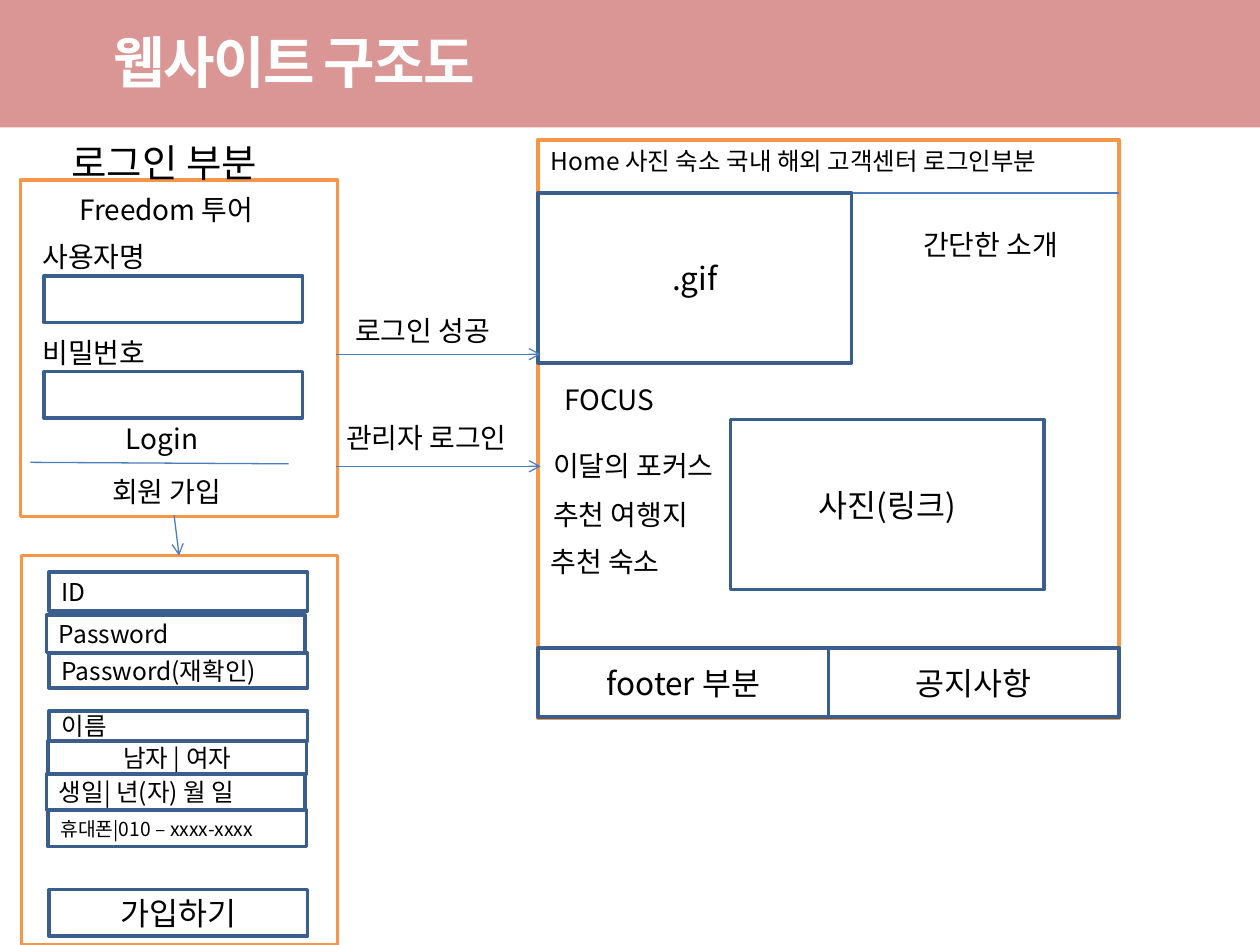
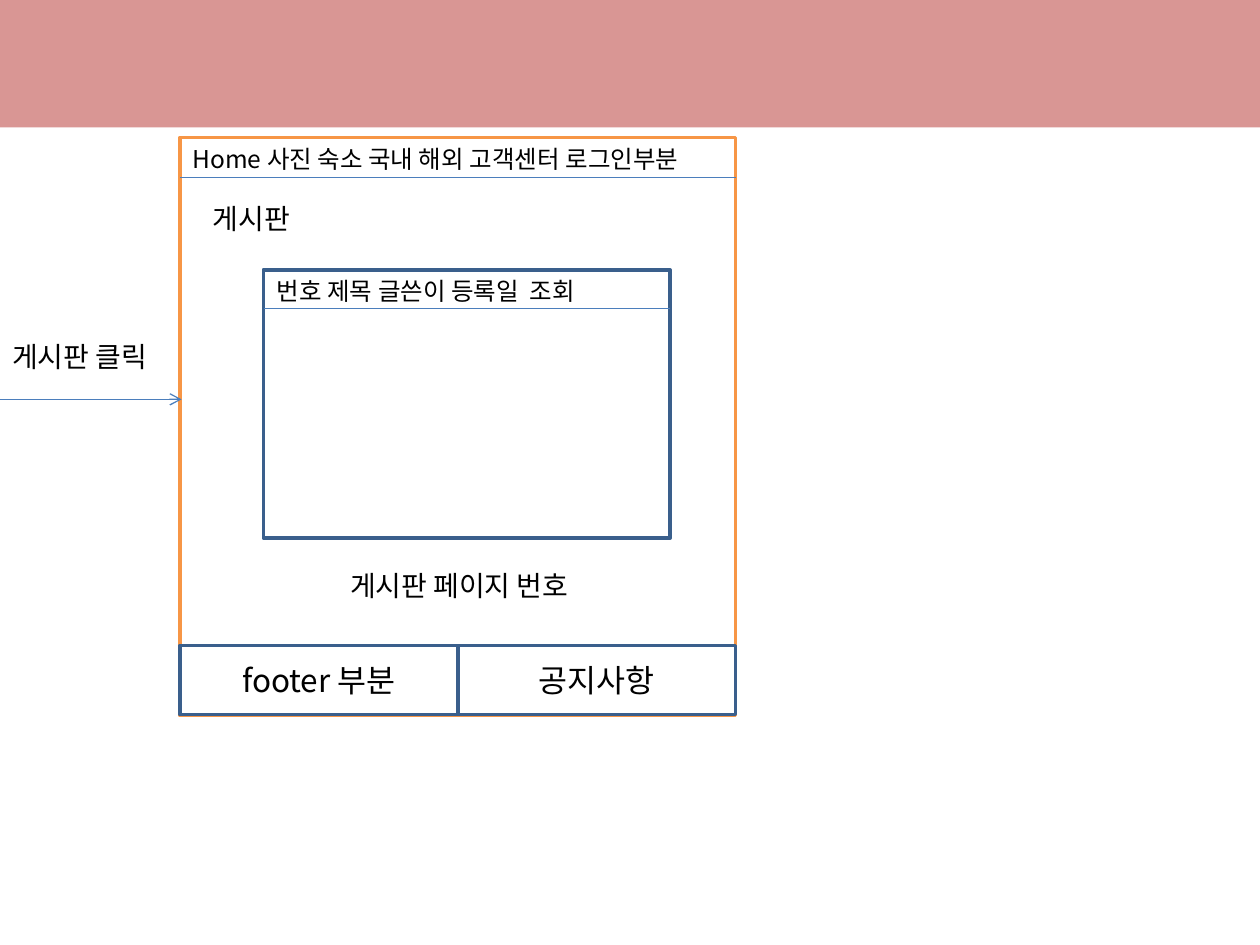
from lxml import etree
from pptx import Presentation
from pptx.dml.color import RGBColor
from pptx.enum.shapes import MSO_CONNECTOR, MSO_SHAPE
from pptx.enum.text import MSO_ANCHOR, MSO_AUTO_SIZE, PP_ALIGN
from pptx.oxml.ns import qn
from pptx.util import Cm, Pt

RECTANGLE = MSO_SHAPE.RECTANGLE
STRAIGHT = MSO_CONNECTOR.STRAIGHT
LEFT, CENTER = PP_ALIGN.LEFT, PP_ALIGN.CENTER
TOP, MIDDLE = MSO_ANCHOR.TOP, MSO_ANCHOR.MIDDLE
GROW = MSO_AUTO_SIZE.SHAPE_TO_FIT_TEXT

FONT = "Noto Sans CJK KR"
BAND, WHITE, BLACK = "D99694", "FFFFFF", "000000"
PAGE_EDGE, BOX_EDGE, RULE = "F79646", "3A5F8C", "4B7EBC"

SLIDE_WIDTH, SLIDE_HEIGHT = 25.4, 19.05
FIELD_WIDTH = 5.21
PICTURE_SIZE = 6.32, 3.43
PAGE_HEIGHT = 11.66
FOOTER_OFFSET, FOOTER_HEIGHT = 10.24, 1.4


def color(value):
    return RGBColor.from_string(value)


def write(frame, text, size, align=LEFT, ink=BLACK, bold=False):
    paragraph = frame.paragraphs[0]
    paragraph.alignment = align
    run = paragraph.add_run()
    run.text = text
    font = run.font
    font.size = Pt(size)
    font.bold = bold
    font.color.rgb = color(ink)
    font.name = FONT
    properties = run._r.get_or_add_rPr()
    etree.SubElement(properties, qn("a:ea")).set("typeface", FONT)
    return properties


def add_box(slide, left, top, width, height, edge=BOX_EDGE, fill=WHITE):
    box = slide.shapes.add_shape(
        RECTANGLE, Cm(left), Cm(top), Cm(width), Cm(height))
    box.shadow.inherit = False
    box.fill.solid()
    box.fill.fore_color.rgb = color(fill)
    if edge:
        box.line.color.rgb = color(edge)
        box.line.width = Pt(2)
    else:
        box.line.fill.background()
    return box


def add_text_box(slide, text, left, top, width, height, size=18, align=CENTER):
    box = add_box(slide, left, top, width, height)
    box.text_frame.word_wrap = True
    box.text_frame.vertical_anchor = MIDDLE
    write(box.text_frame, text, size, align)


def add_label(slide, text, left, top, width, size=16):
    label = slide.shapes.add_textbox(
        Cm(left), Cm(top), Cm(width), Cm(size * 0.06))
    label.text_frame.word_wrap = True
    label.text_frame.auto_size = GROW
    write(label.text_frame, text, size)


def add_line(slide, x1, y1, x2, y2, arrow=False):
    line = slide.shapes.add_connector(STRAIGHT, Cm(x1), Cm(y1), Cm(x2), Cm(y2))
    line.line.color.rgb = color(RULE)
    line.line.width = Pt(0.75)
    if arrow:
        outline = line.line._get_or_add_ln()
        etree.SubElement(outline, qn("a:tailEnd")).set("type", "arrow")
    etree.SubElement(line._element.spPr, qn("a:effectLst"))


def add_band(slide):
    return add_box(slide, 0, 0, SLIDE_WIDTH, 2.57, edge=None, fill=BAND)


def add_title(slide, text):
    band = add_band(slide)
    title = slide.shapes.title
    title._element.addprevious(band._element)
    title.left, title.top = Cm(2.29), Cm(0.56)
    title.width, title.height = Cm(8.64), Cm(1.37)
    frame = title.text_frame
    frame.margin_left = frame.margin_right = 0
    frame.margin_top = frame.margin_bottom = 0
    frame.vertical_anchor = TOP
    frame.auto_size = GROW
    write(frame, text, 32, ink=WHITE, bold=True).set("spc", "-100")


def add_site_page(slide, left, top, width, menu_height):
    add_box(slide, left, top, width, PAGE_HEIGHT, PAGE_EDGE)
    add_line(slide, left, top + menu_height, left + width, top + menu_height)
    add_label(slide, "Home 사진 숙소 국내 해외 고객센터 로그인부분",
              left, top, 11.71, 14)
    half = width / 2
    for column, text in enumerate(("footer 부분", "공지사항")):
        add_text_box(slide, text, left + column * half, top + FOOTER_OFFSET,
                     half, FOOTER_HEIGHT)


def add_login(slide):
    add_box(slide, 0.41, 3.63, 6.4, 6.78, PAGE_EDGE)
    add_label(slide, "로그인 부분", 1.19, 2.67, 5.41, 22)
    for text, left, top, width in (
            ("Freedom 투어", 1.35, 3.76, 4.8),
            ("사용자명", 0.61, 4.7, 3),
            ("비밀번호", 0.61, 6.63, 2.69),
            ("Login", 2.29, 8.38, 2.36),
            ("회원 가입", 2.01, 9.45, 3)):
        add_label(slide, text, left, top, width)
    for top in (5.56, 7.49):
        add_box(slide, 0.89, top, FIELD_WIDTH, 0.94)
    add_line(slide, 0.61, 9.32, 5.82, 9.35)


def add_signup(slide):
    add_box(slide, 0.43, 11.2, 6.38, 7.85, PAGE_EDGE)
    add_line(slide, 3.51, 10.39, 3.61, 11.2, arrow=True)
    for text, left, top, height, size, align in (
            ("ID", 0.99, 11.53, 0.79, 14, LEFT),
            ("Password", 0.94, 12.4, 0.76, 14, LEFT),
            ("Password(재확인)", 0.99, 13.16, 0.71, 14, LEFT),
            ("이름", 0.99, 14.33, 0.61, 14, LEFT),
            ("남자 | 여자", 0.97, 14.94, 0.66, 14, CENTER),
            ("생일| 년(자) 월 일", 0.94, 15.6, 0.74, 14, LEFT),
            ("휴대폰|010 – xxxx-xxxx", 0.97, 16.33, 0.74, 11, LEFT),
            ("가입하기", 0.99, 17.93, 0.94, 18, CENTER)):
        add_text_box(slide, text, left, top, FIELD_WIDTH, height, size, align)


def add_home(slide):
    add_site_page(slide, 10.85, 2.82, 11.71, 1.07)
    add_text_box(slide, ".gif", 10.85, 3.89, *PICTURE_SIZE)
    add_text_box(slide, "사진(링크)", 14.73, 8.46, *PICTURE_SIZE)
    for text, left, top, width in (
            ("간단한 소개", 18.36, 4.47, 3.61),
            ("FOCUS", 11.13, 7.59, 3.61),
            ("이달의 포커스", 10.9, 8.92, 4.06),
            ("추천 여행지", 10.9, 9.91, 3.61),
            ("추천 숙소", 10.85, 10.85, 3.61)):
        add_label(slide, text, left, top, width)


def add_structure_slide(deck):
    slide = deck.slides.add_slide(deck.slide_layouts[5])
    add_title(slide, "웹사이트 구조도")
    add_login(slide)
    add_signup(slide)
    add_home(slide)
    for y in (7.14, 9.4):
        add_line(slide, 6.78, y, 10.9, y, arrow=True)
    add_label(slide, "로그인 성공", 6.91, 6.2, 3.48)
    add_label(slide, "관리자 로그인", 6.73, 8.36, 3.96)


def add_board_slide(deck):
    slide = deck.slides.add_slide(deck.slide_layouts[6])
    add_band(slide)
    add_site_page(slide, 3.63, 2.77, 11.2, 0.81)
    add_line(slide, 0, 8.05, 3.66, 8.05, arrow=True)
    add_label(slide, "게시판 클릭", 0, 6.73, 3.71)
    add_label(slide, "게시판", 4.04, 3.94, 2.44)
    add_box(slide, 5.31, 5.44, 8.2, 5.41)
    add_label(slide, "번호 제목 글쓴이 등록일  조회", 5.33, 5.44, 8.2, 14)
    add_line(slide, 5.33, 6.22, 13.51, 6.22)
    add_label(slide, "게시판 페이지 번호", 6.81, 11.33, 5.31)


def main():
    deck = Presentation()
    deck.slide_width, deck.slide_height = Cm(SLIDE_WIDTH), Cm(SLIDE_HEIGHT)
    add_structure_slide(deck)
    add_board_slide(deck)
    deck.save("out.pptx")


if __name__ == "__main__":
    main()
